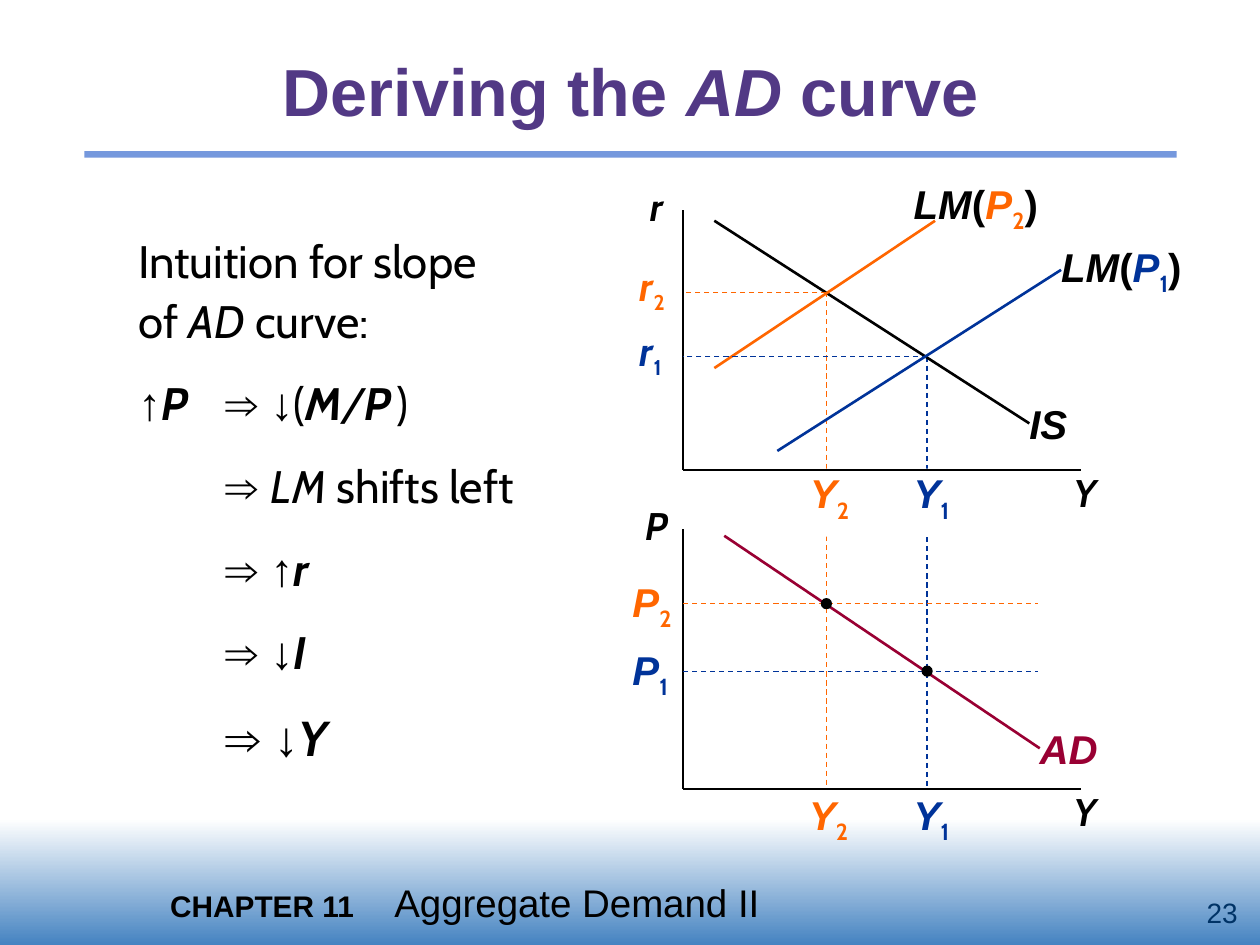
from dataclasses import dataclass
from typing import NamedTuple

from lxml import etree
from pptx import Presentation
from pptx.dml.color import RGBColor
from pptx.enum.dml import MSO_LINE
from pptx.enum.shapes import MSO_CONNECTOR, MSO_SHAPE
from pptx.enum.text import MSO_ANCHOR, PP_ALIGN
from pptx.oxml.ns import qn
from pptx.util import Cm, Pt

RECT, OVAL = MSO_SHAPE.RECTANGLE, MSO_SHAPE.OVAL
LEFT, MID, RIGHT = PP_ALIGN.LEFT, PP_ALIGN.CENTER, PP_ALIGN.RIGHT
TOP, CENTER = MSO_ANCHOR.TOP, MSO_ANCHOR.MIDDLE
PAD = (0.25, 0.13, 0.25, 0.13)
BARE = (0, 0, 0, 0)


@dataclass(frozen=True)
class Theme:
    black: str = "000000"
    white: str = "FFFFFF"
    blue: str = "003399"
    orange: str = "FF6600"
    red: str = "990033"
    violet: str = "523985"
    rule: str = "7598DD"
    foot: str = "4583C1"
    navy: str = "003366"
    sans: str = "Arial"
    soft: str = "Cabin"
    head: int = 38
    body: int = 26
    last: int = 28
    mark: int = 23
    axis: int = 22
    sub: int = 21
    chap: int = 17
    page: int = 16
    gap: int = 12


T = Theme()


class Box(NamedTuple):
    x: float
    y: float
    w: float
    h: float


class Run(NamedTuple):
    text: str
    fmt: dict


class Curve(NamedTuple):
    start: tuple
    end: tuple
    color: str
    box: Box
    runs: list
    join: bool


class Level(NamedTuple):
    num: str
    color: str
    out: float
    rate: float
    price: float
    left: float
    low: float


def rgb(code: str) -> RGBColor:
    return RGBColor.from_string(code)


def write(par, text: str, font=T.sans, size=T.mark, color=T.black,
          bold=False, italic=False, sub=False) -> None:
    if text == "\n":
        par.add_line_break()
        return
    run = par.add_run()
    run.text = text
    face = run.font
    face.name, face.size = font, Pt(size)
    face.bold, face.italic = bold, italic
    face.color.rgb = rgb(color)
    if sub:
        run._r.get_or_add_rPr().set("baseline", "-25000")


def fill_text(shape, rows: list, pad=PAD, align=LEFT, anchor=TOP,
              tab=None, wrap=True, space=None) -> None:
    frame = shape.text_frame
    frame.word_wrap = wrap
    frame.vertical_anchor = anchor
    (frame.margin_left, frame.margin_top,
     frame.margin_right, frame.margin_bottom) = map(Cm, pad)
    for i, runs in enumerate(rows):
        par = frame.add_paragraph() if i else frame.paragraphs[0]
        if tab:
            tabs = etree.SubElement(par._p.get_or_add_pPr(), qn("a:tabLst"))
            etree.SubElement(tabs, qn("a:tab"), pos=str(Cm(tab)), algn="l")
        par.alignment = align
        if space:
            par.line_spacing = space
            par.space_before = Pt(T.body / 2 if i else 0)
        for run in runs:
            write(par, run.text, **run.fmt)


def label(slide, box: Box, runs: list, **style):
    shape = slide.shapes.add_textbox(*map(Cm, box))
    fill_text(shape, [runs], **style)
    return shape


def block(slide, kind, box: Box, color: str):
    shape = slide.shapes.add_shape(kind, *map(Cm, box))
    shape.shadow.inherit = False
    shape.fill.solid()
    shape.fill.fore_color.rgb = rgb(color)
    shape.line.fill.background()
    return shape


def line(slide, start: tuple, end: tuple, color: str, width=1.0, dash=False):
    link = slide.shapes.add_connector(
        MSO_CONNECTOR.STRAIGHT, *map(Cm, start + end))
    link.line.color.rgb = rgb(color)
    link.line.width = Pt(width)
    if dash:
        link.line.dash_style = MSO_LINE.DASH
    etree.SubElement(link._element.spPr, qn("a:effectLst"))
    return link


def sign(name: str, num: str, color: str, **fmt) -> list:
    return [Run(name, dict(color=color, bold=True, italic=True, **fmt)),
            Run(num, dict(font=T.soft, color=color, bold=True, sub=True,
                          size=T.sub if fmt else T.mark))]


def word(text: str, color=T.black) -> Run:
    return Run(text, dict(color=color, bold=True, italic=True))


def money(num: str, color: str) -> list:
    return [word("LM"), Run("(", dict(bold=True)), *sign("P", num, color),
            Run(")", dict(bold=True))]


def body(text: str, font=T.soft, size=T.body, **fmt) -> Run:
    return Run(text, dict(font=font, size=size, **fmt))


def step(arrow: str, name: str, size=T.body) -> list:
    return [body("\t", size=size), body("⇒ " + arrow, T.sans, size),
            body(name, size=size, bold=True, italic=True)]


X0, X1, TALL, DROP = 13.77, 21.79, 5.23, 6.43
TOPS = (4.24, 4.24 + DROP)
BASE = TOPS[1] + TALL
LEVELS = [Level("1", T.blue, 18.69, 7.19, 13.53, 18.42, 18.42),
          Level("2", T.orange, 16.66, 5.89, 12.17, 16.33, 16.31)]
CURVES = [
    Curve((14.4, 4.45), (20.75, 8.46), T.black,
          Box(20.75, 8.05, 0.84, 0.97), [word("IS")], True),
    Curve((15.67, 9.09), (21.39, 5.51), T.blue,
          Box(21.39, 4.88, 2.74, 1.12), money("1", T.blue), True),
    Curve((14.4, 7.42), (18.85, 4.45), T.orange,
          Box(18.42, 3.61, 2.74, 1.12), money("2", T.orange), False),
    Curve((14.6, 10.8), (20.96, 15.04), T.red,
          Box(20.96, 14.6, 1.27, 0.97), [word("AD", T.red)], True)]
STEPS = [
    [body("Intuition for slope"), body("\n"), body("of "),
     body("AD ", italic=True), body("curve:")],
    [body("↑", T.sans), body("P\t", bold=True, italic=True),
     body("⇒ ↓", T.sans), body("("), body("M", bold=True, italic=True),
     body("/", italic=True), body("P", bold=True, italic=True),
     body(" ", size=T.gap), body(")")],
    [body("\t"), body("⇒ ", T.sans), body("LM ", italic=True),
     body("shifts left")],
    step("↑", "r"), step("↓", "I"), step("↓", "Y", T.last)]


def backdrop(slide) -> None:
    band = block(slide, RECT, Box(0, 16.51, 25.4, 2.54), T.white)
    band.fill.gradient()
    band.fill.gradient_angle = 270
    for stop, color in zip(band.fill.gradient_stops, (T.white, T.foot)):
        stop.color.rgb = rgb(color)
    block(slide, RECT, Box(1.7, 3.05, 22.02, 0.13), T.rule)
    label(slide, Box(3.18, 17.58, 21.16, 1.19),
          [Run("CHAPTER 11\t", dict(size=T.chap, bold=True)),
           Run("Aggregate Demand II", dict(size=T.axis))], tab=4.52)
    head = dict(size=T.head, color=T.violet, bold=True)
    label(slide, Box(1.07, 0.64, 23.29, 2.34),
          [Run("Deriving the ", head), Run("AD", dict(head, italic=True)),
           Run(" curve", head)], align=MID, anchor=CENTER)


def graphs(slide) -> None:
    for lev in LEVELS:
        line(slide, (lev.out, lev.rate), (lev.out, BASE), lev.color, 0.75, True)
    for lev in LEVELS:
        tile = block(slide, RECT, Box(lev.left, 9.45, 1.07, 1.37), T.white)
        fill_text(tile, [sign("Y", lev.num, lev.color)], BARE, wrap=False)
    axis = dict(font=T.soft, size=T.axis, bold=True, italic=True)
    for top, name in zip(TOPS, "rP"):
        foot = top + TALL
        line(slide, (X0, top), (X0, foot), T.black)
        line(slide, (X0, foot), (X1, foot), T.black)
        label(slide, Box(21.39, foot - 0.15, 1.47, 1.19), [Run("Y", axis)])
        label(slide, Box(12.7, top - 0.68, 1.07, 1.19), [Run(name, axis)],
              align=MID)
    for cur in CURVES:
        tag = label(slide, cur.box, cur.runs, pad=BARE, wrap=False)
        link = line(slide, cur.start, cur.end, cur.color, 1.5)
        if cur.join:
            link.end_connect(tag, 1)
    for lev in LEVELS:
        line(slide, (X0, lev.price), (20.93, lev.price), lev.color, 0.75, True)
        line(slide, (lev.out, lev.rate), (X0, lev.rate), lev.color, 0.75, True)
        marks = [(Box(12.75, lev.price - 0.53, 1.07, 1.37), "P", {}),
                 (Box(12.9, lev.rate - 0.62, 1.07, 1.09), "r",
                  dict(font=T.soft)),
                 (Box(lev.low, 15.93, 1.07, 1.12), "Y", {})]
        for box, name, fmt in marks:
            label(slide, box, sign(name, lev.num, lev.color, **fmt),
                  pad=BARE, wrap=False)
    for lev in LEVELS:
        dot = block(slide, OVAL, Box(lev.out - 0.1, lev.price - 0.1, 0.2, 0.2),
                    T.black)
        dot.line.color.rgb = rgb(T.black)
        dot.line.width = Pt(0.75)


def main() -> None:
    deck = Presentation()
    deck.slide_width, deck.slide_height = Cm(25.4), Cm(19.05)
    slide = deck.slides.add_slide(deck.slide_layouts[6])
    backdrop(slide)
    graphs(slide)
    panel = block(slide, RECT, Box(2.54, 4.45, 9.09, 11.23), T.white)
    tint = panel._element.spPr.find(qn("a:solidFill"))[0]
    etree.SubElement(tint, qn("a:alpha"), val="50000")
    fill_text(panel, STEPS, tab=1.75, space=1.1)
    label(slide, Box(22.02, 17.98, 3.18, 0.84),
          [Run("23", dict(size=T.page, color=T.navy))],
          align=RIGHT, anchor=CENTER)
    deck.save("out.pptx")


if __name__ == "__main__":
    main()
